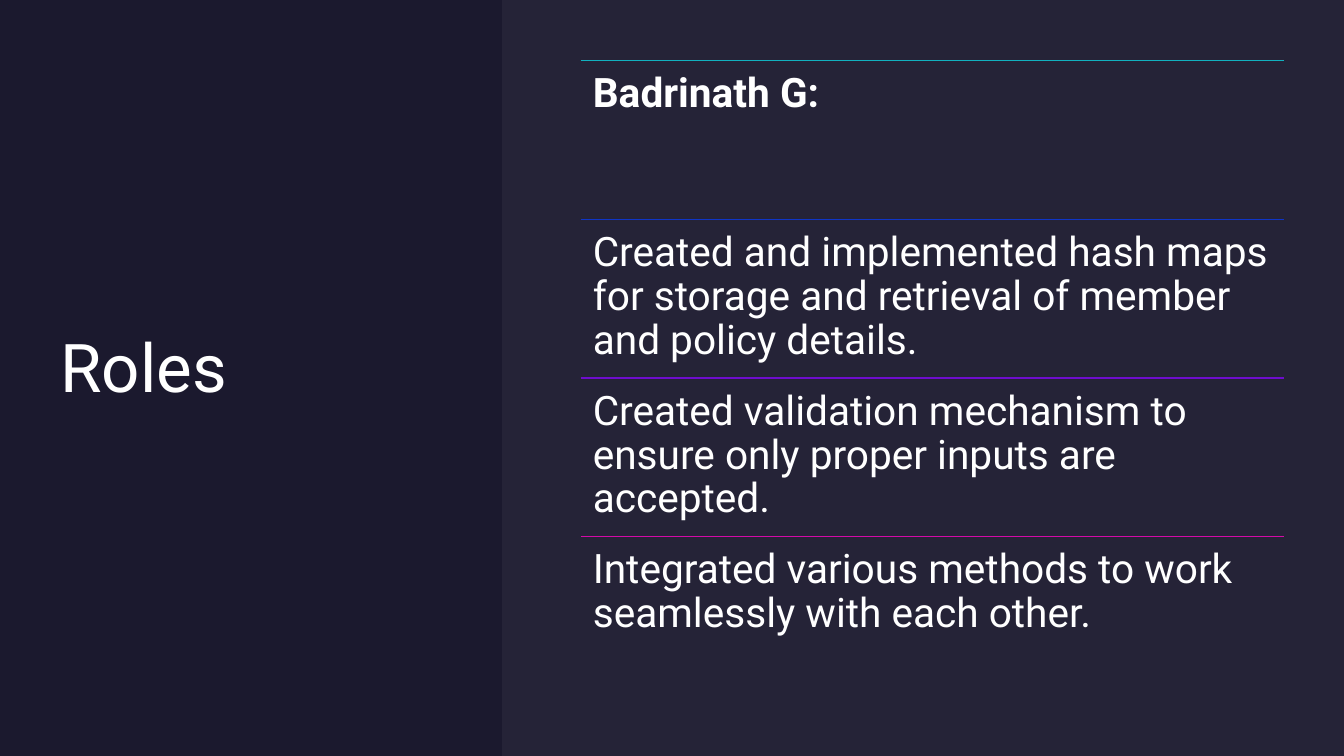
from lxml.etree import SubElement
from pptx import Presentation
from pptx.dml.color import RGBColor
from pptx.enum.shapes import MSO_CONNECTOR, MSO_SHAPE
from pptx.enum.text import MSO_ANCHOR, PP_ALIGN
from pptx.oxml.ns import qn
from pptx.util import Inches, Pt

WIDTH, HEIGHT = 13.33, 7.5
WHITE = "FFFFFF"
ROLES = [
    ("Badrinath G:", "12B1BF", True),
    ("Created and implemented hash maps for storage and retrieval of member "
     "and policy details.", "0F35C6", False),
    ("Created validation mechanism to ensure only proper inputs are accepted.",
     "6E0DCD", False),
    ("Integrated various methods to work seamlessly with each other.",
     "D40AA8", False),
]


def color(hex_code):
    return RGBColor.from_string(hex_code)


def set_text(frame, text, size, bold=False, inset=0.0):
    """Fill the frame with one left-aligned white paragraph and return it."""
    frame.word_wrap = True
    frame.margin_left = frame.margin_right = Inches(inset)
    frame.margin_top = frame.margin_bottom = Inches(inset)
    frame.text = text
    paragraph = frame.paragraphs[0]
    paragraph.alignment = PP_ALIGN.LEFT
    font = paragraph.runs[0].font
    font.name, font.size, font.bold = "Roboto", Pt(size), bold
    font.color.rgb = color(WHITE)
    return paragraph


def place_title(slide, left, top, width, height):
    title = slide.shapes.title
    title.left, title.top = Inches(left), Inches(top)
    title.width, title.height = Inches(width), Inches(height)
    set_text(title.text_frame, "Roles", 48)
    title.text_frame.vertical_anchor = MSO_ANCHOR.MIDDLE


def add_panel(slide, left, top, width, height):
    """Lighten the right side with a nearly transparent rectangle."""
    panel = slide.shapes.add_shape(
        MSO_SHAPE.RECTANGLE, Inches(left), Inches(top), Inches(width), Inches(height))
    panel.shadow.inherit = False
    panel.line.fill.background()
    panel.fill.solid()
    panel.fill.fore_color.rgb = color("E4E3F0")
    tint = panel.fill._xPr.find(qn("a:solidFill")).find(qn("a:srgbClr"))
    SubElement(tint, qn("a:alpha")).set("val", "5000")


def add_rule(slide, left, top, width, hex_code):
    rule = slide.shapes.add_connector(
        MSO_CONNECTOR.STRAIGHT, Inches(left), Inches(top),
        Inches(left + width), Inches(top))
    rule.line.color.rgb = color(hex_code)
    rule.line.width = Pt(1)
    SubElement(rule._element.spPr, qn("a:effectLst"))


def add_role_list(slide, left, top, width, height):
    """Stack the roles in equal rows, each under its own coloured rule."""
    row_height = height / len(ROLES)
    for row, (role, rule_color, bold) in enumerate(ROLES):
        row_top = top + row * row_height
        add_rule(slide, left, row_top, width, rule_color)
        entry = slide.shapes.add_textbox(
            Inches(left), Inches(row_top), Inches(width), Inches(row_height))
        paragraph = set_text(entry.text_frame, role, 29, bold, inset=0.12)
        paragraph.line_spacing = 0.9


def main():
    deck = Presentation()
    deck.slide_width, deck.slide_height = Inches(WIDTH), Inches(HEIGHT)
    slide = deck.slides.add_slide(deck.slide_layouts.get_by_name("Title Only"))
    slide.background.fill.solid()
    slide.background.fill.fore_color.rgb = color("1B192E")
    place_title(slide, 0.6, 0.6, 3.9, 6.06)
    add_panel(slide, 4.98, 0, WIDTH - 4.98, HEIGHT)
    add_role_list(slide, 5.76, 0.6, 6.97, 6.3)
    deck.save("out.pptx")


if __name__ == "__main__":
    main()
